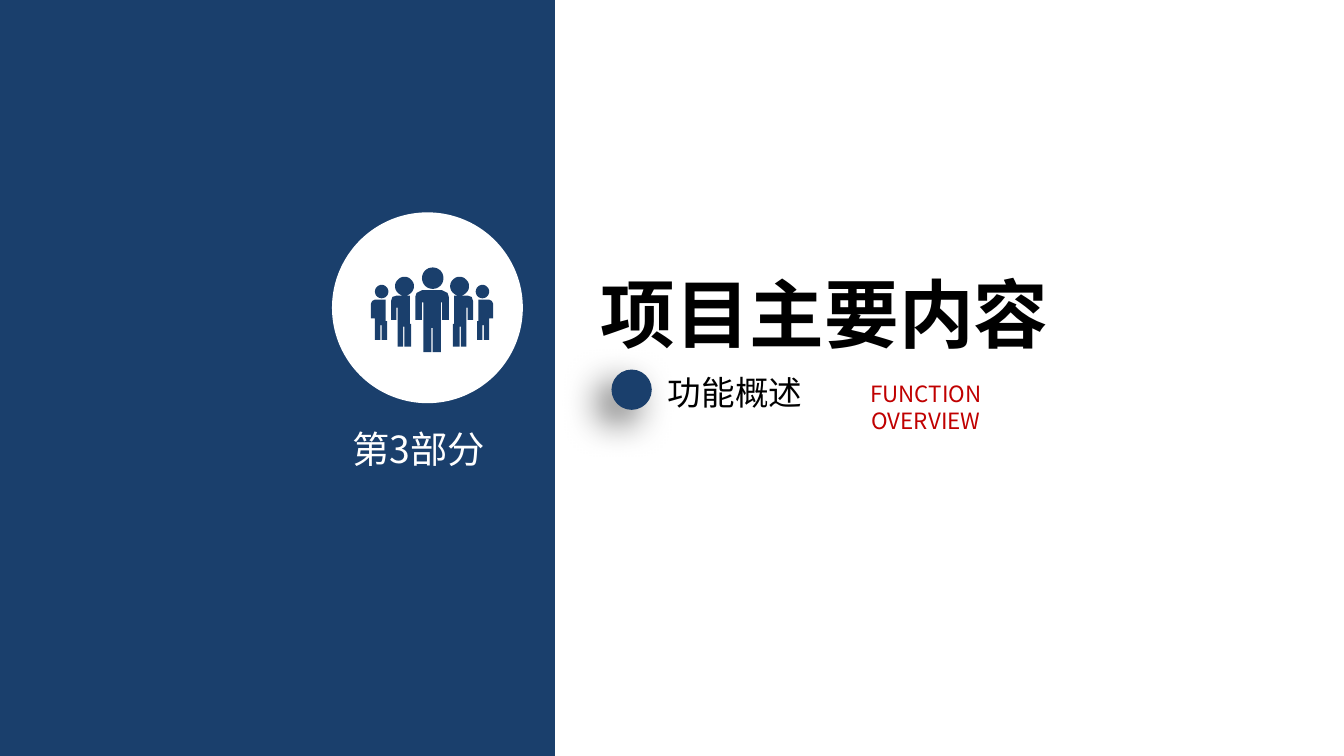
"""Build the section slide for part 3 of the project deck."""
from math import cos, sin, tau

from lxml.etree import SubElement
from pptx import Presentation
from pptx.dml.color import RGBColor
from pptx.enum.shapes import MSO_SHAPE
from pptx.enum.text import MSO_ANCHOR, MSO_AUTO_SIZE, PP_ALIGN
from pptx.oxml.ns import qn
from pptx.util import Inches, Pt

NAVY, WHITE, BLACK, RED = "1A3F6C", "FFFFFF", "000000", "C00000"
FONT = "Noto Sans CJK SC"
UNITS = 1000


def color(value):
    return RGBColor.from_string(value)


def write(shape, box, text, size, text_color, bold=False, wrap=True, inset=(0.1, 0.05), align=PP_ALIGN.LEFT):
    shape.left, shape.top, shape.width, shape.height = [Inches(value) for value in box]
    frame = shape.text_frame
    frame.auto_size = MSO_AUTO_SIZE.NONE
    frame.word_wrap = wrap
    frame.vertical_anchor = MSO_ANCHOR.TOP
    frame.margin_left = frame.margin_right = Inches(inset[0])
    frame.margin_top = frame.margin_bottom = Inches(inset[1])
    paragraph = frame.paragraphs[0]
    paragraph.alignment = align
    paragraph.line_spacing = 1.0
    paragraph.space_before = Pt(0)
    run = paragraph.add_run()
    run.text = text
    run.font.size = Pt(size)
    run.font.bold = bold
    run.font.color.rgb = color(text_color)
    run.font.name = FONT
    SubElement(run.font._element, qn("a:ea"), typeface=FONT)


presentation = Presentation()
presentation.slide_width = Inches(10)
presentation.slide_height = Inches(10 * 9 / 16)
slide = presentation.slides.add_slide(presentation.slide_layouts[0])
shapes = slide.shapes
badge = shapes.add_group_shape()

panel = shapes.add_shape(MSO_SHAPE.RECTANGLE, 0, 0, Inches(4.13), presentation.slide_height)
shapes._spTree.remove(panel._element)
shapes._spTree.insert(2, panel._element)
disc = badge.shapes.add_shape(MSO_SHAPE.OVAL, Inches(2.47), Inches(1.58), Inches(1.42), Inches(1.42))
dot = shapes.add_shape(MSO_SHAPE.OVAL, Inches(4.55), Inches(2.75), Inches(0.3), Inches(0.3))

small_body = [
    (2.88, 2.39), (2.88, 2.53), (2.84, 2.53), (2.84, 2.42), (2.83, 2.42), (2.83, 2.53), (2.79, 2.53),
    (2.79, 2.37), (2.76, 2.37), (2.76, 2.26), (2.77, 2.24), (2.79, 2.23), (2.87, 2.23), (2.87, 2.39),
]
medium_body = [
    (3.06, 2.41), (3.06, 2.58), (3.01, 2.58), (3.01, 2.43), (3, 2.43), (3, 2.58), (2.96, 2.58),
    (2.96, 2.29), (2.95, 2.29), (2.95, 2.38), (2.91, 2.38), (2.91, 2.24), (2.92, 2.21), (2.95, 2.2),
    (3.05, 2.2), (3.05, 2.41),
]
leader_half = [
    (3.21, 2.44), (3.21, 2.62), (3.15, 2.62), (3.15, 2.25), (3.14, 2.25), (3.14, 2.38),
    (3.09, 2.38), (3.09, 2.21), (3.1, 2.18), (3.14, 2.16),
]
heads = [(2.84, 2.17, 0.05), (3.01, 2.13, 0.07)]
side_outlines = [small_body, medium_body]
for x, y, radius in heads:
    side_outlines.append([(x + radius * cos(tau * i / 32), y + radius * sin(tau * i / 32)) for i in range(32)])
outlines = side_outlines + [[(6.43 - x, y) for x, y in outline] for outline in side_outlines]
outlines.append(leader_half + [(6.43 - x, y) for x, y in reversed(leader_half)])
outlines.append([(3.22 + 0.08 * cos(tau * i / 32), 2.07 + 0.08 * sin(tau * i / 32)) for i in range(32)])

builder = None
for outline in outlines:
    points = [(round(x * UNITS), round(y * UNITS)) for x, y in outline]
    if builder is None:
        builder = badge.shapes.build_freeform(*points[0], scale=Inches(1) / UNITS)
    else:
        builder.move_to(*points[0])
    builder.add_line_segments(points[1:], close=True)
team = builder.convert_to_shape()

for shape, fill in [(panel, NAVY), (disc, WHITE), (team, NAVY), (dot, NAVY)]:
    shape.shadow.inherit = False
    shape.fill.solid()
    shape.fill.fore_color.rgb = color(fill)
    shape.line.fill.background()

effects = dot._element.spPr.find(qn("a:effectLst"))
shadow = SubElement(effects, qn("a:outerShdw"), blurRad=str(Pt(20)), dist=str(Pt(10)), dir="8100000", algn="tr", rotWithShape="0")
shadow_color = SubElement(shadow, qn("a:srgbClr"), val=BLACK)
SubElement(shadow_color, qn("a:alpha"), val="60000")

part_label = shapes.add_textbox(0, 0, 0, 0)
english_label = shapes.add_textbox(0, 0, 0, 0)
write(shapes.title, (4.37, 1.94, 3.55, 0.77), "项目主要内容", 40, BLACK, bold=True, wrap=False)
write(slide.placeholders[1], (4.87, 2.72, 1.21, 0.4), "功能概述", 18, BLACK, wrap=False)
write(part_label, (2.62, 3.17, 1.36, 0.34), "第3部分", 20, WHITE, inset=(0, 0))
write(english_label, (6.08, 2.78, 1.62, 0.3), "FUNCTION OVERVIEW", 12, RED, align=PP_ALIGN.CENTER)

presentation.save("out.pptx")
